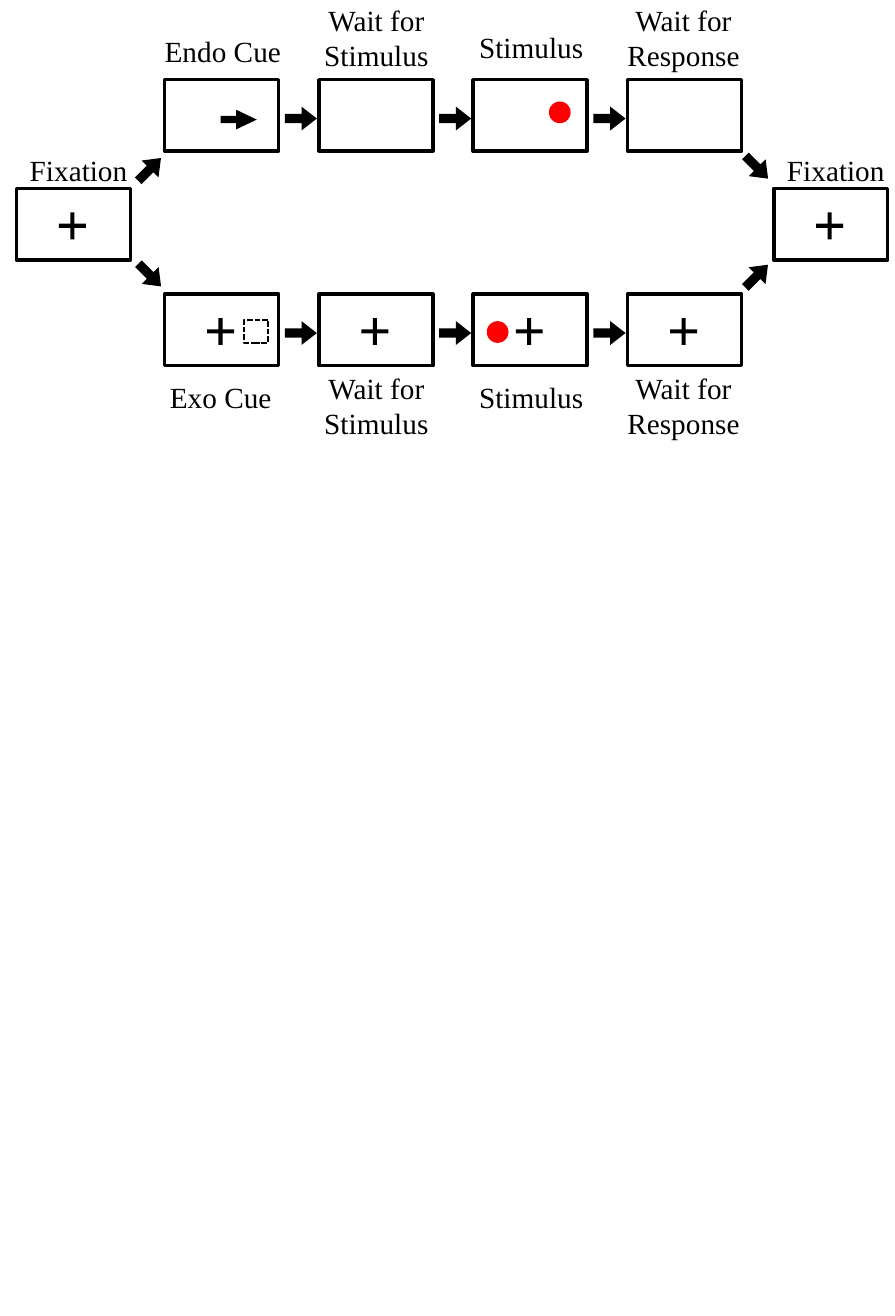
from pptx import Presentation
from pptx.dml.color import RGBColor
from pptx.enum.dml import MSO_LINE
from pptx.enum.shapes import MSO_SHAPE
from pptx.enum.text import MSO_AUTO_SIZE, PP_ALIGN
from pptx.util import Cm, Pt

COLORS = {"ink": "000000", "stimulus": "FF0000"}
FRAME_WIDTH, FRAME_HEIGHT = 1.1, 0.69
TOP_ROW, MIDDLE_ROW, BOTTOM_ROW = 0.77, 1.82, 2.84
COLUMNS = [1.59 + 1.49 * index for index in range(4)]
FIXATIONS = [0.16, 7.47]

presentation = Presentation()
presentation.slide_width = Cm(8.64)
presentation.slide_height = Cm(12.7)
slide = presentation.slides.add_slide(presentation.slide_layouts[6])


def add_figure(kind, left, top, width, height, fill=None, line=None, adjustments=()):
    shape = slide.shapes.add_shape(kind, Cm(left), Cm(top), Cm(width), Cm(height))
    shape.shadow.inherit = False
    for index, value in enumerate(adjustments):
        shape.adjustments[index] = value
    if fill:
        shape.fill.solid()
        shape.fill.fore_color.rgb = RGBColor.from_string(COLORS[fill])
    else:
        shape.fill.background()
    if line:
        shape.line.color.rgb = RGBColor.from_string(COLORS["ink"])
        shape.line.width = Pt(line)
    else:
        shape.line.fill.background()
    return shape


def add_label(text, left, top, width, height, wrap=True, alignment=PP_ALIGN.CENTER):
    label = slide.shapes.add_textbox(Cm(left), Cm(top), Cm(width), Cm(height))
    text_frame = label.text_frame
    text_frame.word_wrap = wrap
    text_frame.auto_size = MSO_AUTO_SIZE.SHAPE_TO_FIT_TEXT
    text_frame.text = text
    paragraph = text_frame.paragraphs[0]
    paragraph.alignment = alignment
    font = paragraph.runs[0].font
    font.name = "Times New Roman"
    font.size = Pt(8)
    font.color.rgb = RGBColor.from_string(COLORS["ink"])


frames = [(left, MIDDLE_ROW) for left in FIXATIONS]
frames += [(left, top) for top in (TOP_ROW, BOTTOM_ROW) for left in COLUMNS]
for left, top in frames:
    add_figure(MSO_SHAPE.RECTANGLE, left, top, FRAME_WIDTH, FRAME_HEIGHT, line=1)
    if top != TOP_ROW:
        add_figure(MSO_SHAPE.CROSS, left + 0.41, top + 0.23, 0.26, 0.26,
                   fill="ink", adjustments=[0.424])

add_figure(MSO_SHAPE.RIGHT_ARROW, 2.13, 1.06, 0.35, 0.19,
           fill="ink", adjustments=[0.369, 1.05])
cue_box = add_figure(MSO_SHAPE.RECTANGLE, 2.36, 3.09, 0.23, 0.22, line=0.5)
cue_box.line.dash_style = MSO_LINE.SQUARE_DOT
for left, top in [(5.3, 0.98), (4.7, 3.1)]:
    add_figure(MSO_SHAPE.OVAL, left, top, 0.21, 0.21, fill="stimulus")

arrows = [(left + 1.16, top + 0.26, 0)
          for top in (TOP_ROW, BOTTOM_ROW) for left in COLUMNS[:3]]
arrows += [(1.29, 1.52, 315), (1.29, 2.54, 45), (7.15, 1.5, 45), (7.15, 2.55, 315)]
for left, top, rotation in arrows:
    arrow = add_figure(MSO_SHAPE.RIGHT_ARROW, left, top, 0.31, 0.23,
                       fill="ink", adjustments=[0.398, 0.643])
    arrow.rotation = rotation

for left in (0, 7.31):
    add_label("Fixation", left, 1.35, 1.52, 0.6)
for cue, cue_left, cue_top, stimulus_top, wait_top in [
    ("Endo Cue", 1.34, 0.2, 0.16, -0.1),
    ("Exo Cue", 1.39, 3.54, 3.54, 3.45),
]:
    add_label(cue, cue_left, cue_top, 1.75, 0.6, wrap=False, alignment=PP_ALIGN.LEFT)
    add_label("Wait for Stimulus", 2.62, wait_top, 2.03, 0.94)
    add_label("Stimulus", 4.37, stimulus_top, 1.52, 0.6, wrap=False)
    add_label("Wait for Response", 5.8, wait_top, 1.6, 0.94)

presentation.save("out.pptx")
